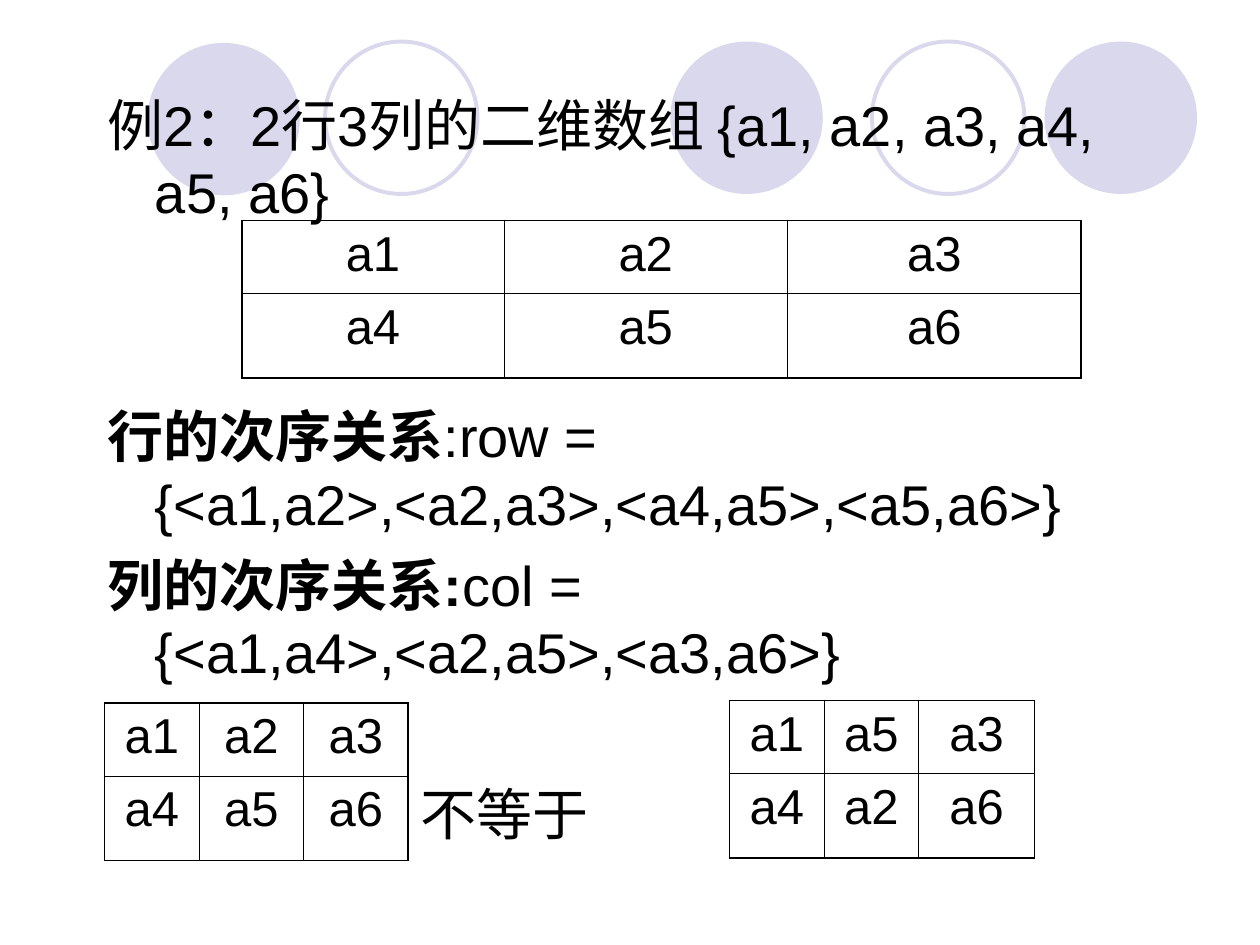
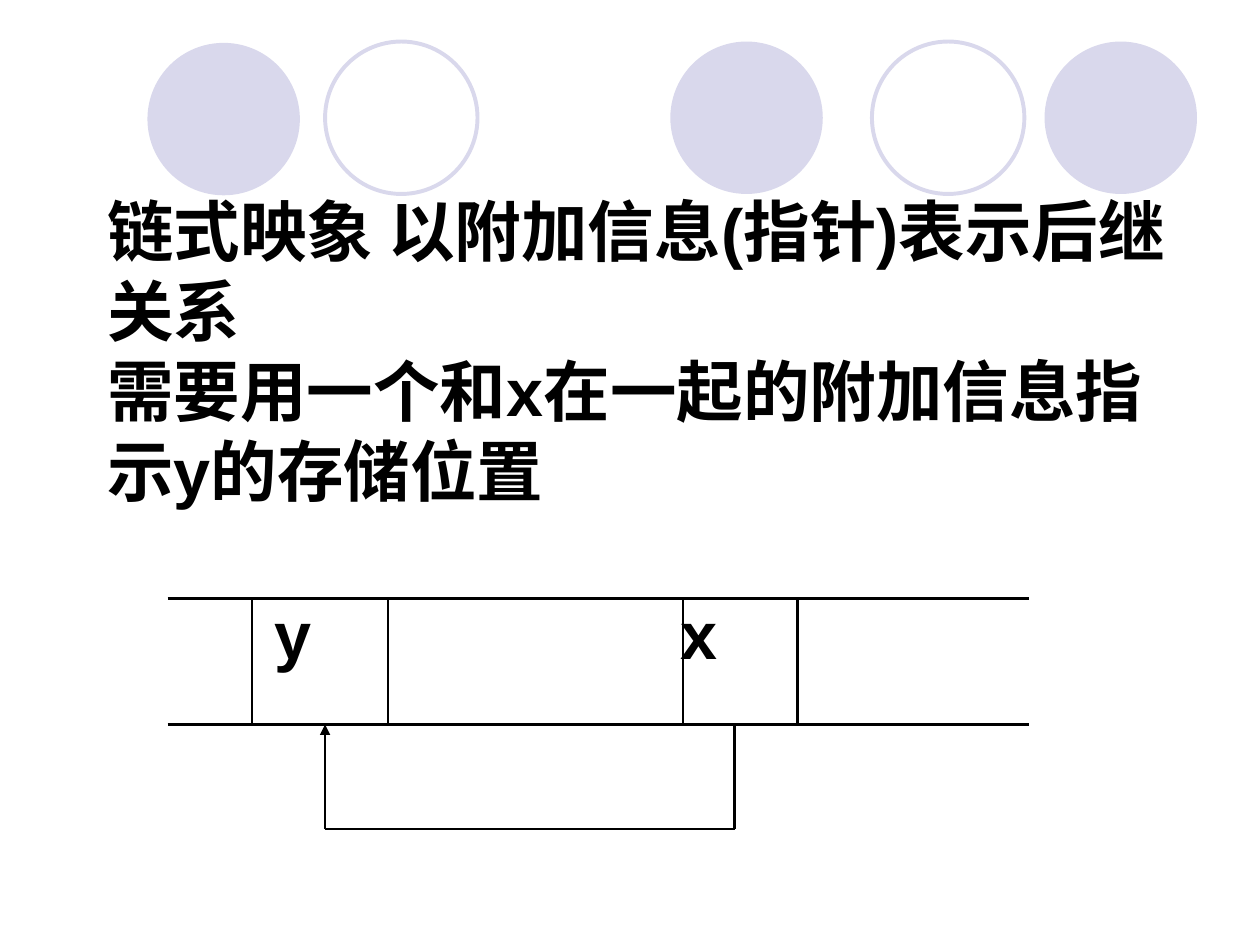
from dataclasses import dataclass

from lxml import etree
from pptx import Presentation
from pptx.dml.color import RGBColor
from pptx.enum.shapes import MSO_CONNECTOR, MSO_SHAPE
from pptx.enum.text import MSO_ANCHOR, MSO_AUTO_SIZE, PP_ALIGN
from pptx.oxml.ns import qn
from pptx.util import Inches, Pt

STRAIGHT = MSO_CONNECTOR.STRAIGHT
ELLIPSE = MSO_SHAPE.OVAL
LEFT, CENTER = PP_ALIGN.LEFT, PP_ALIGN.CENTER
TOP = MSO_ANCHOR.TOP
NO_FIT = MSO_AUTO_SIZE.NONE

COLORS = {"ink": "000000", "circle": "D9D8EC"}
FONT = "Arial"
CONTENT_LAYOUT, TITLE_ONLY_LAYOUT = 1, 5
CIRCLE_SIZE = 1.21
ROW_HEIGHTS = (0.58, 0.67)
OUTER_BORDER, INNER_BORDER = 1.08, 0.45


@dataclass
class Circle:
    left: float
    top: float
    filled: bool


@dataclass
class Grid:
    left: float
    top: float
    widths: tuple[float, ...]
    rows: tuple[tuple[str, ...], ...]


@dataclass
class Stroke:
    start: tuple[float, float]
    end: tuple[float, float]
    width: float = 1.5
    arrow: bool = False


@dataclass
class Relation:
    spans: tuple[tuple[str, bool], ...]
    space_before: float = 8
    margin: float = 0.38
    indent: float = -0.38


CIRCLES = [
    Circle(5.32, 0.33, True),
    Circle(8.29, 0.33, True),
    Circle(1.17, 0.34, True),
    Circle(6.92, 0.33, False),
    Circle(2.58, 0.33, False),
]

ARRAY_ROWS = (("a1", "a2", "a3"), ("a4", "a5", "a6"))
SWAPPED_ROWS = (("a1", "a5", "a3"), ("a4", "a2", "a6"))
GRIDS = [
    Grid(1.92, 1.75, (2.08, 2.25, 2.33), ARRAY_ROWS),
    Grid(0.83, 5.58, (0.75, 0.83, 0.83), ARRAY_ROWS),
    Grid(5.79, 5.56, (0.75, 0.75, 0.92), SWAPPED_ROWS),
]

# The larger spaces make room for the tables
RELATIONS = [
    Relation((("例2：2行3列的二维数组 {a1, a2, a3, a4, a5, a6}", False),)),
    Relation((("行的次序关系", True),
              (":row = {<a1,a2>,<a2,a3>,<a4,a5>,<a5,a6>}", False)), space_before=101),
    Relation((("列的次序关系:", True), ("col = {<a1,a4>,<a2,a5>,<a3,a6>}", False))),
    Relation((("不等于", False),), space_before=54, margin=2.49, indent=0),
]

# Memory strip with cell walls, and the pointer from x back to y
STRIP_LEFT, STRIP_RIGHT = 1.33, 8.17
STRIP_TOP, STRIP_BOTTOM, POINTER_BOTTOM = 4.75, 5.75, 6.58
WALLS = (2, 3.08, 5.42, 6.33)
Y_POINT, X_POINT = 2.58, 5.83
STROKES = [
    Stroke((STRIP_LEFT, STRIP_TOP), (STRIP_RIGHT, STRIP_TOP), width=2.25),
    Stroke((STRIP_LEFT, STRIP_BOTTOM), (STRIP_RIGHT, STRIP_BOTTOM)),
    *(Stroke((wall, STRIP_TOP), (wall, STRIP_BOTTOM)) for wall in WALLS),
    Stroke((X_POINT, STRIP_BOTTOM), (X_POINT, POINTER_BOTTOM)),
    Stroke((Y_POINT, POINTER_BOTTOM), (X_POINT, POINTER_BOTTOM)),
    Stroke((Y_POINT, POINTER_BOTTOM), (Y_POINT, STRIP_BOTTOM), arrow=True),
]
CELL_LABELS = {"y": 2.18, "x": 5.4}


def color(name: str) -> RGBColor:
    return RGBColor.from_string(COLORS[name])


def write(para, text: str, *, size: float, bold: bool = False, align=LEFT,
          before: float = 0) -> None:
    """Add a formatted span to a paragraph."""
    para.alignment = align
    para.space_before = Pt(before)
    span = para.add_run()
    span.text = text
    span.font.name = FONT
    span.font.size = Pt(size)
    span.font.bold = bold
    span.font.color.rgb = color("ink")


def place(shape, left: float, top: float, width: float, height: float) -> None:
    shape.left, shape.top = Inches(left), Inches(top)
    shape.width, shape.height = Inches(width), Inches(height)


def add_master_circles(deck, page) -> None:
    """Draw the circle band and move it to the slide master."""
    size = Inches(CIRCLE_SIZE)
    for number, circle in enumerate(CIRCLES, start=101):
        shape = page.shapes.add_shape(
            ELLIPSE, Inches(circle.left), Inches(circle.top), size, size)
        shape.shadow.inherit = False
        if circle.filled:
            shape.fill.solid()
            shape.fill.fore_color.rgb = color("circle")
            shape.line.fill.background()
        else:
            shape.fill.background()
            shape.line.color.rgb = color("circle")
            shape.line.width = Pt(2.25)
        shape.element.nvSpPr.cNvPr.id = number
        deck.slide_master.shapes.element.append(shape.element)


def set_borders(cell, widths: dict[str, float]) -> None:
    """Set cell borders, given in the order left, right, top, bottom."""
    properties = cell._tc.get_or_add_tcPr()
    for index, (side, width) in enumerate(widths.items()):
        line = etree.Element(qn(f"a:ln{side}"), w=str(Pt(width)))
        fill = etree.SubElement(line, qn("a:solidFill"))
        etree.SubElement(fill, qn("a:srgbClr"), val=COLORS["ink"])
        properties.insert(index, line)


def add_grid(page, grid: Grid) -> None:
    row_count, column_count = len(grid.rows), len(grid.widths)
    table = page.shapes.add_table(
        row_count, column_count, Inches(grid.left), Inches(grid.top),
        Inches(sum(grid.widths)), Inches(sum(ROW_HEIGHTS))).table
    table.first_row = table.horz_banding = False
    for column, width in zip(table.columns, grid.widths):
        column.width = Inches(width)
    for row, height in zip(table.rows, ROW_HEIGHTS):
        row.height = Inches(height)
    for r, texts in enumerate(grid.rows):
        for c, text in enumerate(texts):
            cell = table.cell(r, c)
            cell.fill.background()
            write(cell.text_frame.paragraphs[0], text, size=28, align=CENTER, before=7)
            on_edge = {"L": c == 0, "R": c == column_count - 1,
                       "T": r == 0, "B": r == row_count - 1}
            set_borders(cell, {side: OUTER_BORDER if edge else INNER_BORDER
                               for side, edge in on_edge.items()})


def add_stroke(page, stroke: Stroke) -> None:
    points = [Inches(value) for value in (*stroke.start, *stroke.end)]
    connector = page.shapes.add_connector(STRAIGHT, *points)
    connector.line.color.rgb = color("ink")
    connector.line.width = Pt(stroke.width)
    properties = connector.element.spPr
    if stroke.arrow:
        etree.SubElement(properties.get_or_add_ln(), qn("a:tailEnd"), type="triangle")
    etree.SubElement(properties, qn("a:effectLst"))


def add_label(page, text: str, left: float, top: float) -> None:
    box = page.shapes.add_textbox(Inches(left), Inches(top), Inches(0.5), Inches(0.62))
    frame = box.text_frame
    frame.word_wrap = True
    frame.margin_left = frame.margin_right = frame.margin_top = frame.margin_bottom = 0
    write(frame.paragraphs[0], text, size=38, bold=True)


def build_array_page(page) -> None:
    page.shapes.element.remove(page.shapes.title.element)
    body = page.placeholders[1]
    place(body, 0.75, 0.67, 8.5, 6.42)
    frame = body.text_frame
    frame.auto_size = NO_FIT
    for index, relation in enumerate(RELATIONS):
        para = frame.add_paragraph() if index else frame.paragraphs[0]
        for text, bold in relation.spans:
            write(para, text, size=32, bold=bold, before=relation.space_before)
        properties = para._p.get_or_add_pPr()
        properties.set("marL", str(Inches(relation.margin)))
        properties.set("indent", str(Inches(relation.indent)))
        etree.SubElement(properties, qn("a:buNone"))
    for grid in GRIDS:
        add_grid(page, grid)


def build_linked_page(page) -> None:
    title = page.shapes.title
    place(title, 0.75, 0.67, 8.67, 6.08)
    frame = title.text_frame
    frame.auto_size = NO_FIT
    frame.vertical_anchor = TOP
    frame.margin_top = Inches(0.84)
    write(frame.paragraphs[0], "链式映象 以附加信息(指针)表示后继关系", size=38, bold=True)
    write(frame.add_paragraph(), "需要用一个和x在一起的附加信息指示y的存储位置",
          size=38, bold=True)
    for text, left in CELL_LABELS.items():
        add_label(page, text, left, 4.71)
    for stroke in STROKES:
        add_stroke(page, stroke)


def main() -> None:
    deck = Presentation()
    deck.slide_width, deck.slide_height = Inches(10), Inches(7.5)
    array_page = deck.slides.add_slide(deck.slide_layouts[CONTENT_LAYOUT])
    linked_page = deck.slides.add_slide(deck.slide_layouts[TITLE_ONLY_LAYOUT])
    add_master_circles(deck, array_page)
    build_array_page(array_page)
    build_linked_page(linked_page)
    deck.save("out.pptx")


if __name__ == "__main__":
    main()
